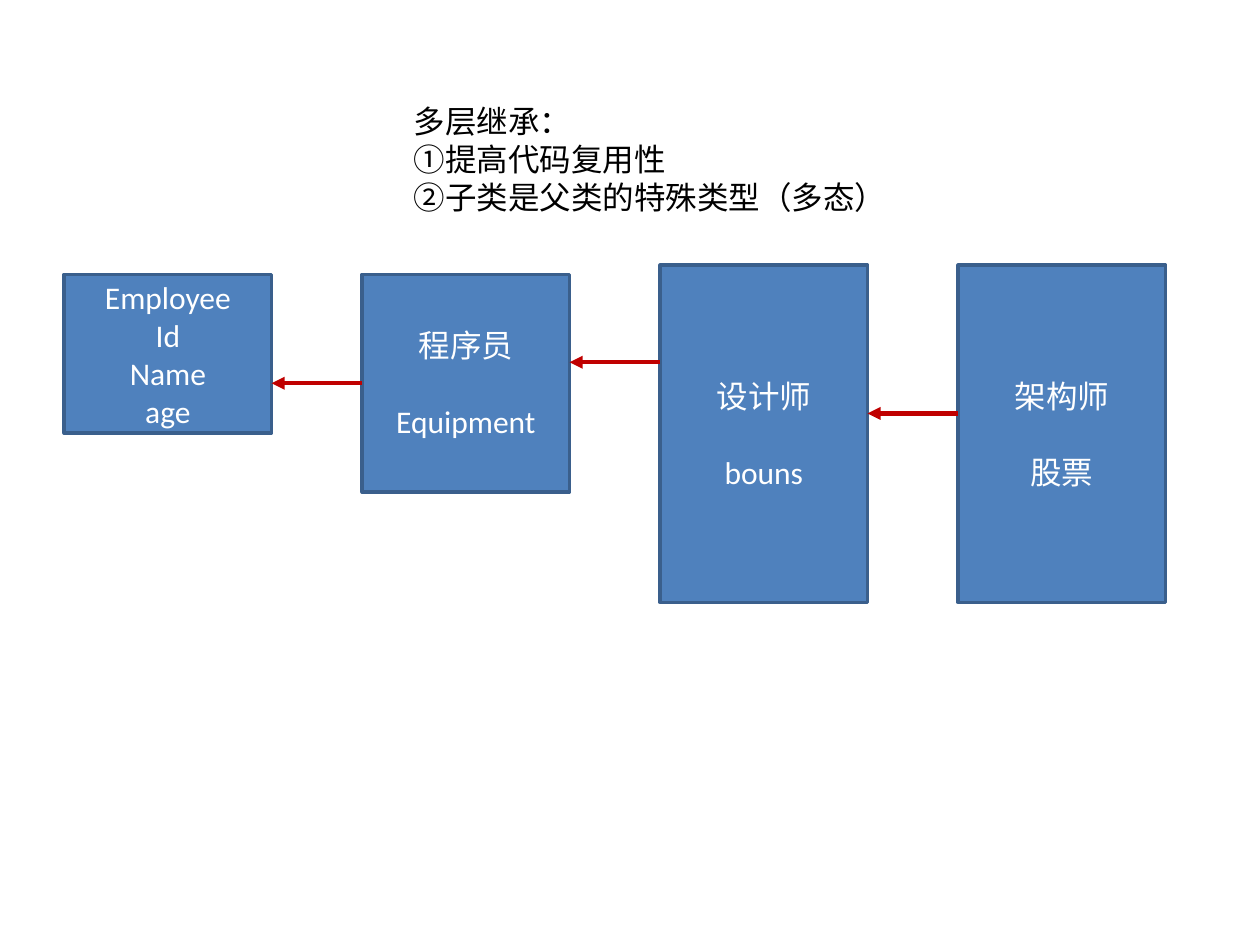
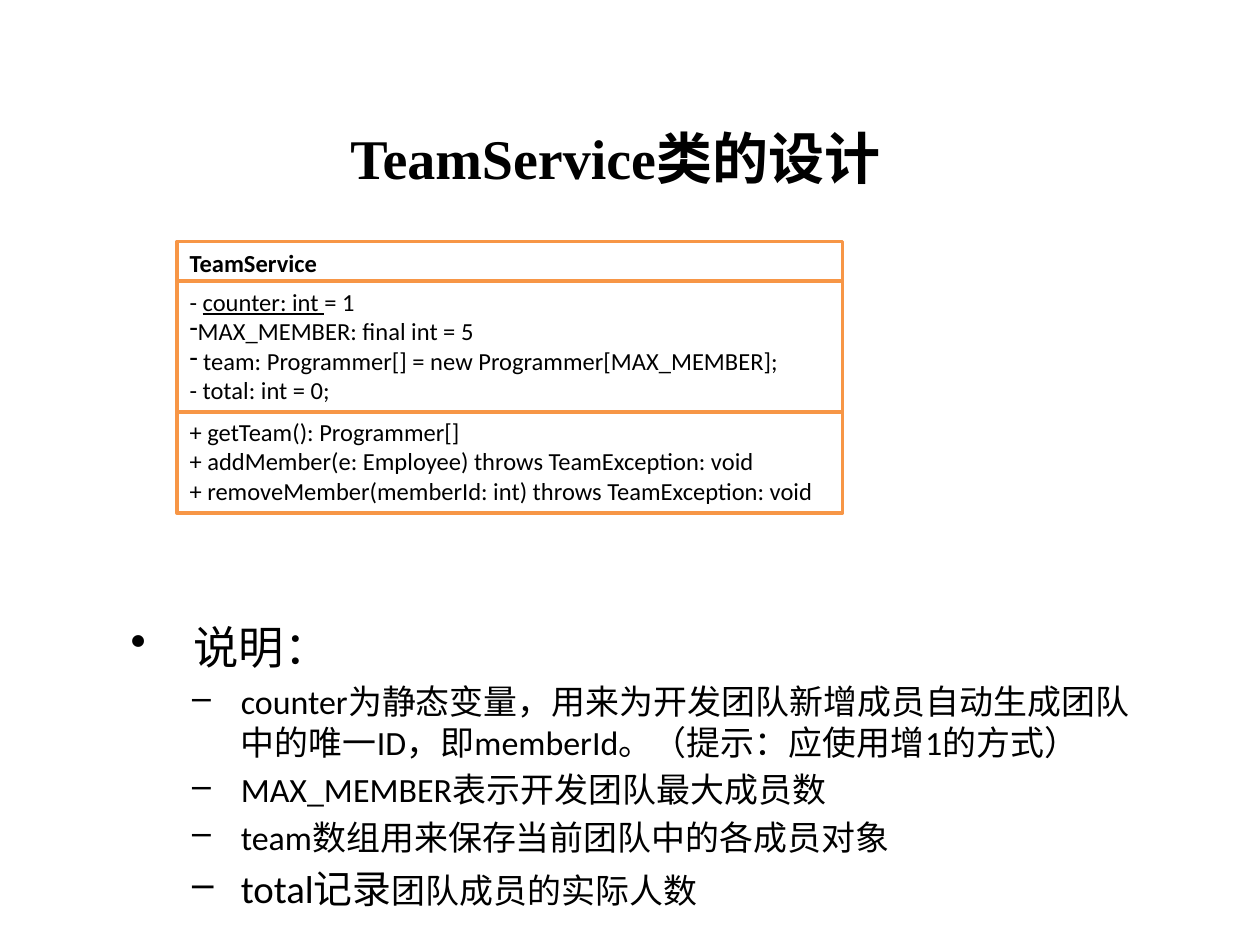
from lxml import etree
from pptx import Presentation
from pptx.dml.color import RGBColor
from pptx.enum.shapes import MSO_CONNECTOR, MSO_SHAPE
from pptx.enum.text import MSO_ANCHOR, PP_ALIGN
from pptx.oxml.ns import qn
from pptx.util import Pt

PX = 9525
BLACK = RGBColor(0x00, 0x00, 0x00)
WHITE = RGBColor(0xFF, 0xFF, 0xFF)
BLUE = RGBColor(0x4F, 0x81, 0xBD)
DARK_BLUE = RGBColor(0x3A, 0x5F, 0x8C)
RED = RGBColor(0xC0, 0x00, 0x00)
ORANGE = RGBColor(0xF7, 0x96, 0x46)
LEFT, CENTER = PP_ALIGN.LEFT, PP_ALIGN.CENTER
TOP, MIDDLE = MSO_ANCHOR.TOP, MSO_ANCHOR.MIDDLE
RECTANGLE, STRAIGHT = MSO_SHAPE.RECTANGLE, MSO_CONNECTOR.STRAIGHT


def write(frame, text, size=18, color=BLACK, font="Calibri", bold=False, underline=False,
          align=LEFT, before=0, bullet=None, margin=0, hang=0, level=0, same_line=False):
    paragraph = frame.paragraphs[-1]
    if not same_line:
        if paragraph.runs:
            paragraph = frame.add_paragraph()
        paragraph.alignment = align
        paragraph.level = level
        paragraph.space_before = Pt(before)
        if bullet:
            properties = paragraph._p.get_or_add_pPr()
            properties.set("marL", str(margin * PX))
            properties.set("indent", str(-hang * PX))
            etree.SubElement(properties, qn("a:buChar"), char=bullet)
    run = paragraph.add_run()
    run.text = text
    run.font.size = Pt(size)
    run.font.name = font
    run.font.bold = bold
    run.font.underline = underline
    run.font.color.rgb = color


def add_box(slide, left, top, width, height, fill=None, outline=None, anchor=TOP):
    place = [length * PX for length in (left, top, width, height)]
    if fill is None:
        box = slide.shapes.add_textbox(*place)
    else:
        box = slide.shapes.add_shape(RECTANGLE, *place)
        box.shadow.inherit = False
        box.fill.solid()
        box.fill.fore_color.rgb = fill
        box.line.color.rgb = outline
        box.line.width = Pt(2)
    box.text_frame.word_wrap = True
    box.text_frame.vertical_anchor = anchor
    return box


deck = Presentation()
deck.slide_width, deck.slide_height = 960 * PX, 720 * PX
blank = deck.slide_layouts[6]

inheritance = deck.slides.add_slide(blank)
CLASS_LEFT, CLASS_WIDTH, CLASS_STEP = 49, 158, 227
classes = [
    (209, 121, 0, ["Employee", "Id", "Name", "age"]),
    (209, 166, 22, ["程序员", "Equipment"]),
    (202, 257, 22, ["设计师", "bouns"]),
    (202, 257, 22, ["架构师", "股票"]),
]
class_boxes = []
for index, (top, height, gap, lines) in enumerate(classes):
    box = add_box(inheritance, CLASS_LEFT + index * CLASS_STEP, top, CLASS_WIDTH, height,
                  BLUE, DARK_BLUE, MIDDLE)
    for number, line in enumerate(lines):
        write(box.text_frame, line, color=WHITE, align=CENTER, before=gap if number else 0)
    class_boxes.append(box)

for index, level_y in enumerate([292, 276, 315]):
    parent, child = class_boxes[index:index + 2]
    arrow = inheritance.shapes.add_connector(
        STRAIGHT, child.left, level_y * PX, parent.left + parent.width, level_y * PX)
    if child.top + child.height // 2 == level_y * PX:
        arrow.begin_connect(child, 1)
    arrow.line.color.rgb = RED
    arrow.line.width = Pt(2.5)
    etree.SubElement(arrow.line._get_or_add_ln(), qn("a:tailEnd"), type="triangle")
    etree.SubElement(arrow._element.spPr, qn("a:effectLst"))

benefits = add_box(inheritance, 306, 73, 567, 97).text_frame
for line in ["多层继承：", "①提高代码复用性", "②子类是父类的特殊类型（多态）"]:
    write(benefits, line)

design = deck.slides.add_slide(blank)
heading = add_box(design, 37, 75, 864, 90, anchor=MIDDLE).text_frame
write(heading, "TeamService类的设计", size=32, font="Times New Roman", bold=True, align=CENTER)

notes = add_box(design, 90, 177, 791, 506).text_frame
notes.margin_top = 295 * PX
write(notes, "说明：", size=25.9, bullet="•", margin=48, hang=48)
explanations = [
    ("counter为静态变量，用来为开发团队新增成员自动生成团队中的唯一ID，"
     "即memberId。（提示：应使用增1的方式）", 19.4),
    ("MAX_MEMBER表示开发团队最大成员数", 19.4),
    ("team数组用来保存当前团队中的各成员对象", 19.4),
    ("total记录", 22.2),
]
for line, size in explanations:
    write(notes, line, size=size, before=size / 5, bullet="–", margin=84, hang=37, level=1)
write(notes, "团队成员的实际人数", size=19.4, same_line=True)

name_part, methods_part, fields_part = [
    add_box(design, 135, top, 507, height, WHITE, ORANGE).text_frame
    for top, height in [(184, 33), (313, 78), (214, 100)]
]
write(name_part, "TeamService", size=14, bold=True)
for method in ["+ getTeam(): Programmer[]",
               "+ addMember(e: Employee) throws TeamException: void",
               "+ removeMember(memberId: int) throws TeamException: void"]:
    write(methods_part, method, size=14)
write(fields_part, "- ", size=14)
write(fields_part, "counter: int ", size=14, underline=True, same_line=True)
write(fields_part, "= 1", size=14, same_line=True)
for field in ["MAX_MEMBER: final int = 5", " team: Programmer[] = new Programmer[MAX_MEMBER];"]:
    write(fields_part, field, size=14, bullet="-")
write(fields_part, "- total: int = 0;", size=14)

deck.save("out.pptx")
